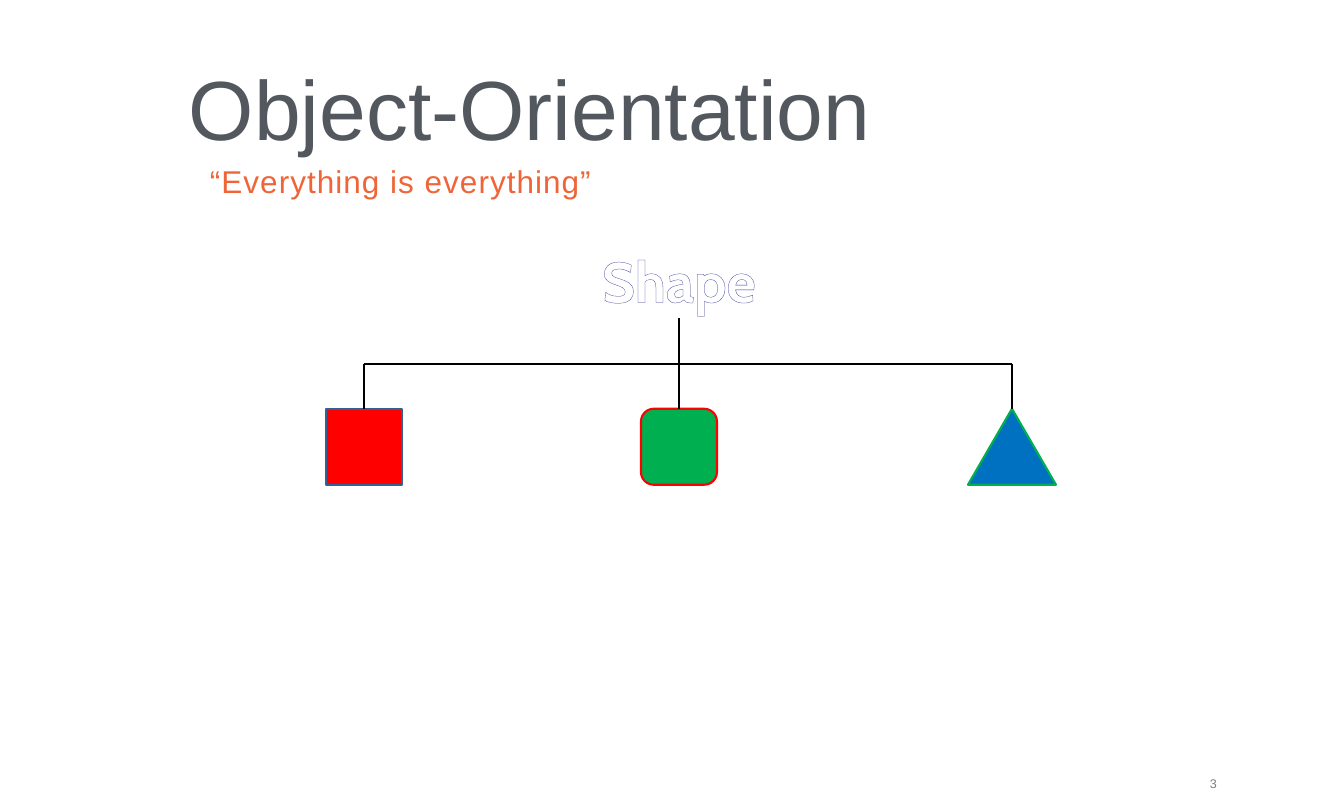
from lxml.etree import SubElement
from pptx import Presentation
from pptx.dml.color import RGBColor
from pptx.enum.shapes import MSO_CONNECTOR, MSO_SHAPE
from pptx.enum.text import PP_ALIGN
from pptx.oxml.ns import qn
from pptx.util import Pt

TITLE = "Object-Orientation"
QUOTE = "“Everything is everything”"
ROOT = "Shape"
PAGE = "3"

# kind, centre, width, fill, line
KINDS = [
    (MSO_SHAPE.RECTANGLE, 364, 76, "FF0000", "306199"),
    (MSO_SHAPE.ROUNDED_RECTANGLE, 679, 76, "00B050", "FF0000"),
    (MSO_SHAPE.ISOSCELES_TRIANGLE, 1012, 88, "0070C0", "00B050"),
]
STEM, BAR, ROW, SIDE = 318, 364, 409, 76
SCALE = 12095  # EMU in one px


def px(*sizes):
    return [size * SCALE for size in sizes]


def color(code):
    return RGBColor.from_string(code)


def add_text(slide, text, box, size, ink, font="Arial", bold=False,
             align=PP_ALIGN.LEFT, wrap=True, gap=None, edge=None):
    """Add one line of text; gap is letter spacing and edge a glyph outline."""
    frame = slide.shapes.add_textbox(*px(*box)).text_frame
    frame.word_wrap = wrap
    frame.margin_left = frame.margin_right = 0
    frame.margin_top = frame.margin_bottom = 0
    para = frame.paragraphs[0]
    para.alignment = align
    run = para.add_run()
    run.text = text
    run.font.name, run.font.size, run.font.bold = font, Pt(size), bold
    props = run.font._element
    if gap:
        props.set("spc", str(gap))
    if edge:
        line = SubElement(props, qn("a:ln"), w=str(Pt(0.52)))
        fill = SubElement(line, qn("a:solidFill"))
        SubElement(fill, qn("a:srgbClr"), val=edge)
        props.insert(0, line)
    run.font.color.rgb = color(ink)


def add_line(slide, *ends):
    line = slide.shapes.add_connector(MSO_CONNECTOR.STRAIGHT, *px(*ends))
    line.line.color.rgb = color("000000")
    line.line.width = Pt(2)
    SubElement(line._element.spPr, qn("a:effectLst"))


def add_kind(slide, kind, mid, width, fill, edge):
    box = px(mid - width // 2, ROW, width, SIDE)
    shape = slide.shapes.add_shape(kind, *box)
    shape.shadow.inherit = False
    shape.fill.solid()
    shape.fill.fore_color.rgb = color(fill)
    shape.line.color.rgb = color(edge)
    shape.line.width = Pt(2)


def main():
    deck = Presentation()
    deck.slide_width, deck.slide_height = Pt(1280), Pt(768)
    slide = deck.slides.add_slide(deck.slide_layouts[6])

    add_text(slide, QUOTE, (210, 162, 970, 36), 30, "EF6537", gap=100)
    add_text(slide, TITLE, (189, 57, 970, 97), 80, "53585F")
    add_text(slide, PAGE, (1197, 776, 20, 14), 12, "808080",
             align=PP_ALIGN.RIGHT, wrap=False)

    for kind in KINDS:
        add_kind(slide, *kind)
    mids = [kind[1] for kind in KINDS]
    left, root, right = mids
    add_text(slide, ROOT, (root - 93, 246, 186, 69), 54, "FFFFFF",
             font="Cabin", bold=True, align=PP_ALIGN.CENTER, wrap=False,
             edge="333399")
    add_line(slide, left, BAR, right, BAR)
    for mid in mids:
        add_line(slide, mid, STEM if mid == root else BAR, mid, ROW)

    deck.save("out.pptx")


if __name__ == "__main__":
    main()
